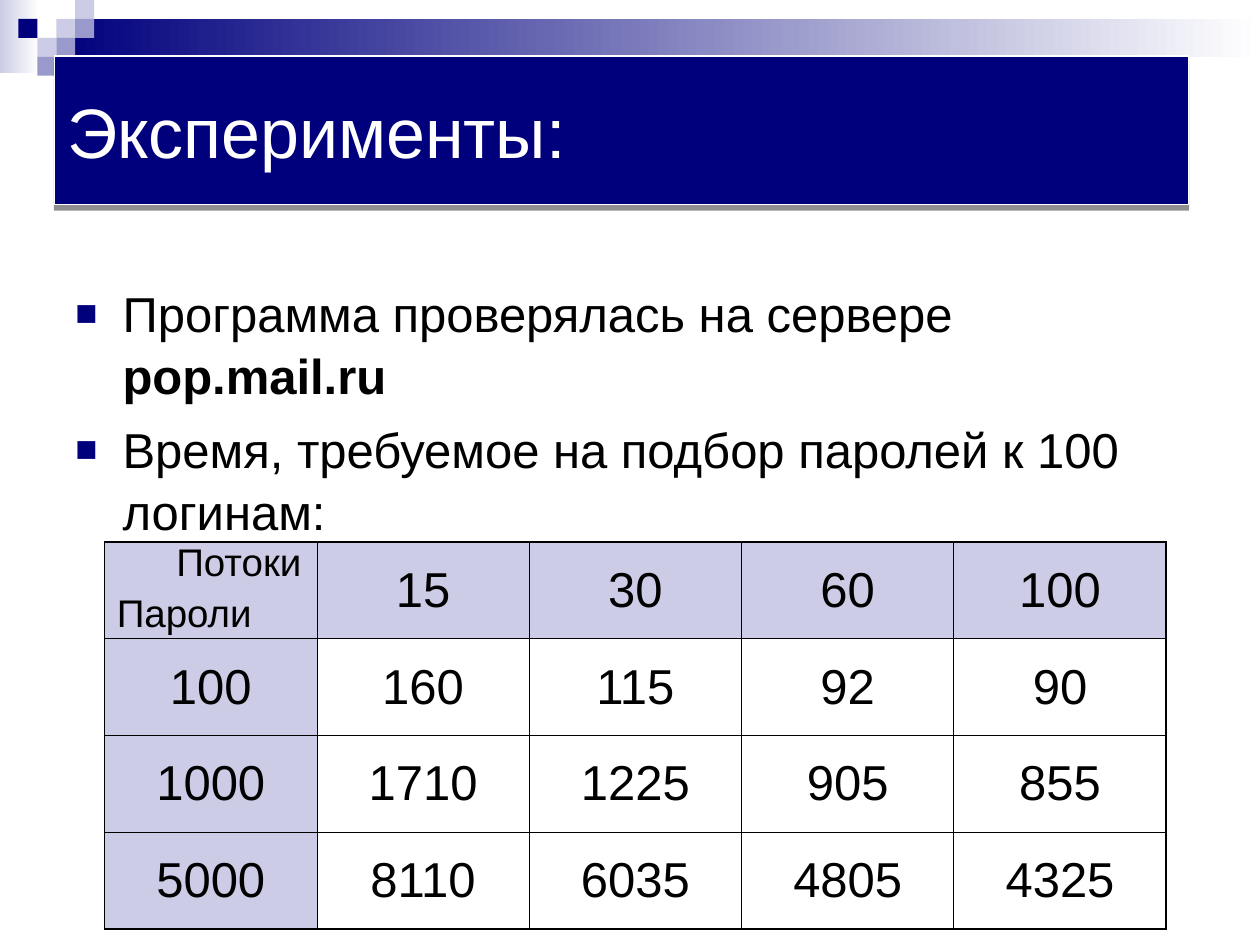
"""Slide on password search experiments, with a table of times by thread count."""
from lxml.etree import SubElement
from pptx import Presentation
from pptx.dml.color import RGBColor
from pptx.enum.shapes import MSO_SHAPE
from pptx.enum.text import MSO_ANCHOR, PP_ALIGN
from pptx.oxml import parse_xml
from pptx.oxml.ns import nsdecls, qn
from pptx.util import Pt

NAVY = RGBColor(0x00, 0x00, 0x7D)
VIOLET = RGBColor(0x99, 0x99, 0xCC)
LILAC = RGBColor(0xCC, 0xCC, 0xE6)
WHITE = RGBColor(0xFF, 0xFF, 0xFF)
BLACK = RGBColor(0x00, 0x00, 0x00)


def add_text(p, text, size=28, color=BLACK, bold=False, align=PP_ALIGN.LEFT):
    p.alignment = align
    r = p.add_run()
    r.text = text
    r.font.name = "Arial"
    r.font.size = Pt(size)
    r.font.bold = bold
    r.font.color.rgb = color


def add_rect(s, x, y, w, h):
    sp = s.shapes.add_shape(MSO_SHAPE.RECTANGLE, Pt(x), Pt(y), Pt(w), Pt(h))
    sp.shadow.inherit = False
    sp.line.fill.background()
    return sp


prs = Presentation()
prs.slide_width, prs.slide_height = Pt(720), Pt(540)
s = prs.slides.add_slide(prs.slide_layouts[6])

for box, color in [((0, 0, 22.5, 41.75), LILAC), ((32.5, 10.8, 687.5, 21.6), NAVY)]:
    sp = add_rect(s, *box)
    sp.fill.gradient()
    sp.fill.gradient_angle = 0
    for stop, stop_color in zip(sp.fill.gradient_stops, (color, WHITE)):
        stop.color.rgb = stop_color

SIDE = 10.8
squares = [(3, 1, LILAC), (4, 0, LILAC), (4, 1, VIOLET), (2, 2, LILAC),
           (1, 1, NAVY), (3, 2, VIOLET), (2, 3, VIOLET)]
for col, row, color in squares:
    sp = add_rect(s, col * SIDE - 0.25, row * SIDE, SIDE, SIDE)
    sp.fill.solid()
    sp.fill.fore_color.rgb = color

sp = s.shapes.add_textbox(Pt(36), Pt(157), Pt(647.5), Pt(306))
tf = sp.text_frame
tf.word_wrap = True
bullets = [
    [("Программа проверялась на сервере ", False), ("pop.mail.ru", True)],
    [("Время, требуемое на подбор паролей к 100 логинам:", False)],
]
for i, runs in enumerate(bullets):
    p = tf.add_paragraph() if i else tf.paragraphs[0]
    pPr = p._p.get_or_add_pPr()
    pPr.set("marL", str(Pt(27)))
    pPr.set("indent", str(-Pt(27)))
    SubElement(SubElement(pPr, qn("a:buClr")), qn("a:srgbClr"), val=str(NAVY))
    SubElement(pPr, qn("a:buSzPct"), val="75000")
    SubElement(pPr, qn("a:buFont"), typeface="Arial")
    SubElement(pPr, qn("a:buChar"), char="■")
    p.line_spacing = 1.05
    p.space_before = Pt(7 if i else 0)
    for text, bold in runs:
        add_text(p, text, bold=bold)

sp = add_rect(s, 31.25, 32, 648, 85)
sp.fill.solid()
sp.fill.fore_color.rgb = NAVY
sp.line.color.rgb = WHITE
sp.line.width = Pt(0.75)
shadow = SubElement(sp._element.spPr.find(qn("a:effectLst")), qn("a:outerShdw"),
                    blurRad="0", dist=str(Pt(3)), dir="5400000", rotWithShape="0")
shadow_color = SubElement(shadow, qn("a:srgbClr"), val=str(BLACK))
SubElement(shadow_color, qn("a:alpha"), val="44000")
tf = sp.text_frame
tf.word_wrap = True
tf.vertical_anchor = MSO_ANCHOR.MIDDLE
add_text(tf.paragraphs[0], "Эксперименты:", size=40, color=WHITE)

rows = [
    ["", "15", "30", "60", "100"],
    ["100", "160", "115", "92", "90"],
    ["1000", "1710", "1225", "905", "855"],
    ["5000", "8110", "6035", "4805", "4325"],
]
last_row, last_col = len(rows) - 1, len(rows[0]) - 1
tbl = s.shapes.add_table(len(rows), len(rows[0]), Pt(59.75), Pt(309.75),
                         Pt(606.75), Pt(221)).table
tbl.first_row = tbl.horz_banding = False
for i, row in enumerate(rows):
    for j, text in enumerate(row):
        cell = tbl.cell(i, j)
        cell.vertical_anchor = MSO_ANCHOR.MIDDLE
        tcPr = cell._tc.get_or_add_tcPr()
        outer = {"L": j == 0, "R": j == last_col, "T": i == 0, "B": i == last_row}
        for edge, is_outer in outer.items():
            width = Pt(1.08 if is_outer else 0.45)
            tcPr.append(parse_xml(
                f'<a:ln{edge} {nsdecls("a")} w="{width}"><a:solidFill>'
                f'<a:srgbClr val="{BLACK}"/></a:solidFill></a:ln{edge}>'))
        if i == 0 or j == 0:
            cell.fill.solid()
            cell.fill.fore_color.rgb = LILAC
        else:
            cell.fill.background()
        if text:
            add_text(cell.text_frame.paragraphs[0], text, align=PP_ALIGN.CENTER)

for text, x, y, w in [("Пароли", 59.75, 332.75, 91.5), ("Потоки", 93.75, 304, 86.5)]:
    sp = s.shapes.add_textbox(Pt(x), Pt(y), Pt(w), Pt(33.75))
    sp.text_frame.word_wrap = False
    add_text(sp.text_frame.paragraphs[0], text, size=22)

prs.save("out.pptx")
